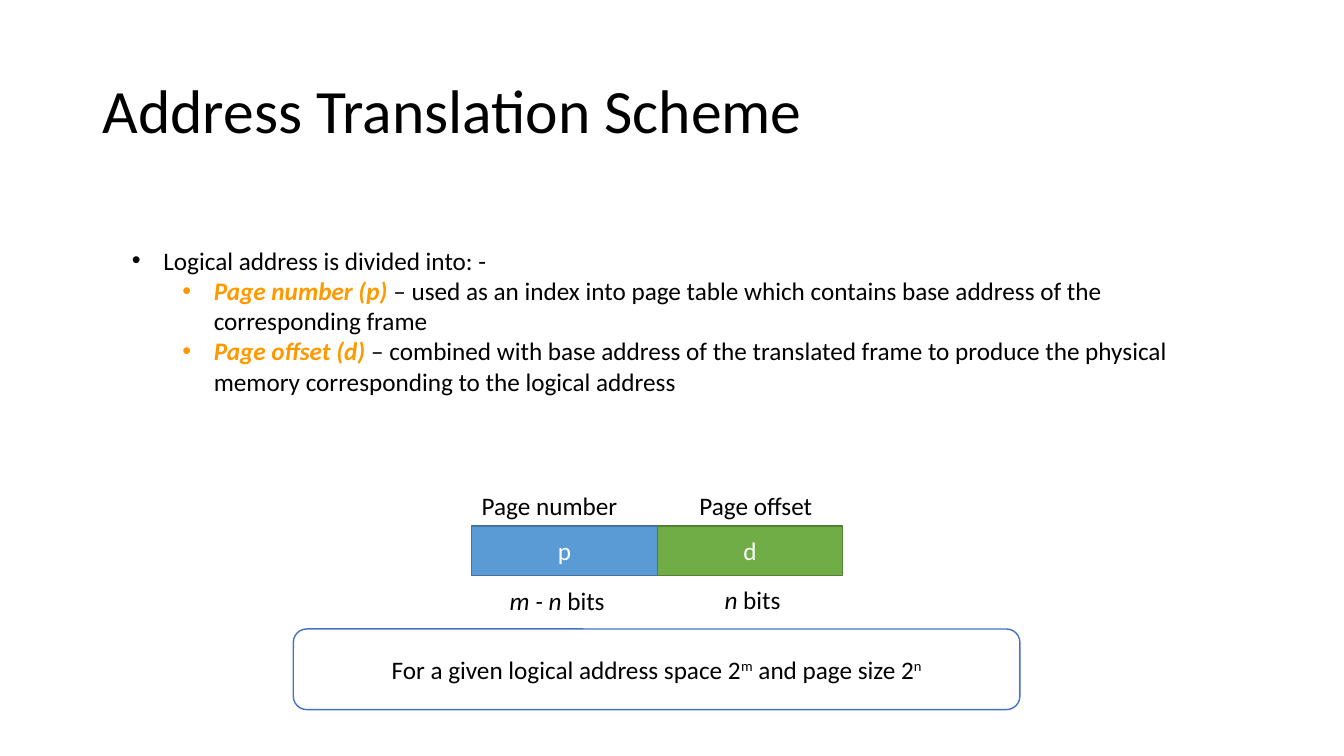
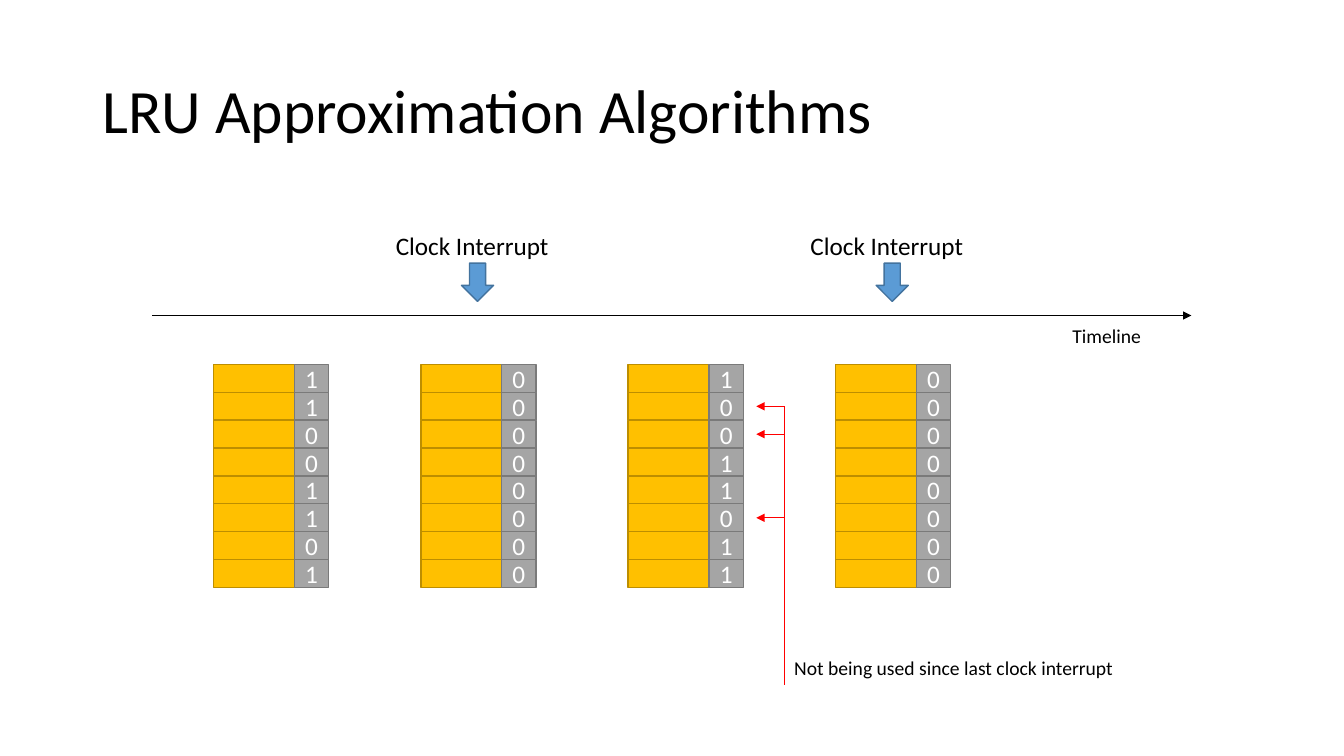
from dataclasses import dataclass

from lxml.etree import SubElement
from pptx import Presentation
from pptx.dml.color import RGBColor
from pptx.enum.shapes import MSO_CONNECTOR, MSO_SHAPE
from pptx.enum.text import MSO_ANCHOR, MSO_AUTO_SIZE, PP_ALIGN
from pptx.oxml.ns import qn
from pptx.util import Pt


@dataclass(frozen=True)
class Theme:
    """Colours as fill or (fill, line) pairs, and type sizes in points."""

    font: str = "Calibri"
    ink: str = "000000"
    paper: str = "FFFFFF"
    term: str = "FF9900"
    marker: str = "FF0000"
    blue: tuple = ("5B9BD5", "43739E")
    green: tuple = ("70AD47", "538035")
    amber: tuple = ("FFC000", "BD8E00")
    grey: tuple = ("A5A5A5", "7A7A7A")
    outline: tuple = ("FFFFFF", "4472C4")
    title_size: int = 44
    text_size: int = 18
    note_size: int = 14


THEME = Theme()


def rgb(code):
    """Turn a hex code into a colour."""
    return RGBColor.from_string(code)


def add_run(paragraph, words, size=THEME.text_size, color=THEME.ink,
            bold=False, italic=False, raised=False):
    """Add one formatted run to a paragraph."""
    run = paragraph.add_run()
    run.text = words
    run.font.name, run.font.size = THEME.font, Pt(size)
    run.font.color.rgb = rgb(color)
    run.font.bold, run.font.italic = bold, italic
    if raised:
        run.font._element.set("baseline", "30000")


def place(part, left, top, width, height):
    """Move a placeholder to a box given in points."""
    part.left, part.top = Pt(left), Pt(top)
    part.width, part.height = Pt(width), Pt(height)


def add_titled_slide(deck, layout_name, heading):
    """Add a slide with the shared title style."""
    slide = deck.slides.add_slide(deck.slide_layouts.get_by_name(layout_name))
    title = slide.shapes.title
    place(title, 66, 29, 828, 104)
    title.text_frame.auto_size = MSO_AUTO_SIZE.NONE
    title.text_frame.vertical_anchor = MSO_ANCHOR.MIDDLE
    paragraph = title.text_frame.paragraphs[0]
    paragraph.alignment = PP_ALIGN.LEFT
    paragraph.line_spacing = 0.9
    add_run(paragraph, heading, THEME.title_size)
    return slide


def add_label(slide, left, top, width, words, size=THEME.text_size, variable=""):
    """Add an unwrapped label, led by an italic variable if given."""
    label = slide.shapes.add_textbox(Pt(left), Pt(top), Pt(width), Pt(size * 1.6))
    label.text_frame.word_wrap = False
    label.text_frame.auto_size = MSO_AUTO_SIZE.SHAPE_TO_FIT_TEXT
    paragraph = label.text_frame.paragraphs[0]
    if variable:
        add_run(paragraph, variable, size, italic=True)
    add_run(paragraph, words, size)


def add_block(slide, preset, left, top, width, height, colors):
    """Add a flat outlined shape and return its centred paragraph."""
    block = slide.shapes.add_shape(preset, Pt(left), Pt(top), Pt(width), Pt(height))
    block.shadow.inherit = False
    block.fill.solid()
    block.fill.fore_color.rgb = rgb(colors[0])
    block.line.color.rgb = rgb(colors[1])
    block.line.width = Pt(1)
    frame = block.text_frame
    frame.margin_left = frame.margin_right = frame.margin_top = frame.margin_bottom = 0
    frame.vertical_anchor = MSO_ANCHOR.MIDDLE
    frame.paragraphs[0].alignment = PP_ALIGN.CENTER
    return frame.paragraphs[0]


def add_line(slide, start, end, color, weight, arrow=True):
    """Add a straight line, with an arrowhead at its end by default."""
    line = slide.shapes.add_connector(
        MSO_CONNECTOR.STRAIGHT, Pt(start[0]), Pt(start[1]), Pt(end[0]), Pt(end[1]))
    line.line.color.rgb = rgb(color)
    line.line.width = Pt(weight)
    properties = line._element.spPr
    if arrow:
        SubElement(properties.find(qn("a:ln")), qn("a:tailEnd"), type="triangle")
    SubElement(properties, qn("a:effectLst"))


def add_definitions(slide, left, top, width, height):
    """Fill the body with the parts of a logical address."""
    definitions = [
        ("", "Logical address is divided into: -"),
        ("Page number (p) ", "– used as an index into page table which contains "
                             "base address of the corresponding frame"),
        ("Page offset (d) ", "– combined with base address of the translated frame "
                             "to produce the physical memory corresponding to the "
                             "logical address"),
    ]
    body = slide.placeholders[1]
    place(body, left, top, width, height)
    frame = body.text_frame
    frame.auto_size = MSO_AUTO_SIZE.NONE
    for index, (term, meaning) in enumerate(definitions):
        paragraph = frame.add_paragraph() if index else frame.paragraphs[0]
        paragraph.level = 1 if term else 0
        paragraph.space_before = Pt(0)
        indents = paragraph._p.get_or_add_pPr()
        indents.set("marL", str(Pt(22.5 + 36 * paragraph.level)))
        indents.set("indent", str(Pt(-22.5)))
        SubElement(indents, qn("a:buFont"), typeface="Arial")
        SubElement(indents, qn("a:buChar"), char="•")
        if term:
            add_run(paragraph, term, color=THEME.term, bold=True, italic=True)
        add_run(paragraph, meaning)


def add_address_format(slide, left, top, width):
    """Draw the two address fields with names above and bit counts below."""
    field_width, field_height = width / 2, 35.3
    add_label(slide, left, top, 119.5, "Page number")
    add_label(slide, left + 155.5, top, 102.2, "Page offset")
    fields = [("p", THEME.blue), ("d", THEME.green)]
    for index, (symbol, colors) in enumerate(fields):
        paragraph = add_block(slide, MSO_SHAPE.RECTANGLE, left + index * field_width,
                              top + 28.8, field_width, field_height, colors)
        add_run(paragraph, symbol, color=THEME.paper)
    add_label(slide, left + 20, top + 67.5, 91.4, " bits", variable="m - n")
    add_label(slide, left + 173.5, top + 67, 57, " bits", variable="n")


def add_size_rule(slide, left, top, width, height):
    """State the address space and page size in a rounded box."""
    paragraph = add_block(slide, MSO_SHAPE.ROUNDED_RECTANGLE,
                          left, top, width, height, THEME.outline)
    for words, exponent in [("For a given logical address space 2", "m"),
                            (" and page size 2", "n")]:
        add_run(paragraph, words)
        add_run(paragraph, exponent, raised=True)


def add_page_bits(slide, left, top, row_height, bits):
    """Stack pages, each with its reference bit."""
    page_width, bit_width = 57.7, 24.6
    for row, bit in enumerate(bits):
        row_top = top + row * row_height
        add_block(slide, MSO_SHAPE.RECTANGLE, left, row_top,
                  page_width, row_height, THEME.amber)
        paragraph = add_block(slide, MSO_SHAPE.RECTANGLE, left + page_width, row_top,
                              bit_width, row_height, THEME.grey)
        add_run(paragraph, bit, color=THEME.paper)


def add_interrupt(slide, left, top):
    """Mark a clock interrupt with a label over a down arrow."""
    add_block(slide, MSO_SHAPE.DOWN_ARROW, left + 54, top + 26.6, 23, 27.4, THEME.blue)
    add_label(slide, left, top, 130.3, "Clock Interrupt")


def add_timeline(slide, left, top, width):
    """Draw the time axis and its name."""
    add_line(slide, (left, top), (left + width, top), THEME.ink, 0.5)
    add_label(slide, left + 650.2, top + 2.1, 65.5, "Timeline", THEME.note_size)


def add_unused_marker(slide, right, top, row_height, bits):
    """Point from a shared stem at each page whose bit is zero."""
    targets = [top + (row + 0.5) * row_height
               for row, bit in enumerate(bits) if bit == "0"]
    for target in targets:
        add_line(slide, (right, target), (right - 20, target), THEME.marker, 1)
    add_line(slide, (right, targets[0]), (right, 489.6), THEME.marker, 0.5, arrow=False)
    add_label(slide, right, 465.1, 259.2,
              "Not being used since last clock interrupt", THEME.note_size)


def build_address_slide(deck):
    """Build the address translation slide."""
    slide = add_titled_slide(deck, "Title and Content", "Address Translation Scheme")
    add_definitions(slide, 87, 171.4, 797, 116.6)
    add_address_format(slide, 337, 347, 265)
    add_size_rule(slide, 209.5, 449.3, 519, 57.6)


def build_lru_slide(deck):
    """Build the reference bit slide."""
    slide = add_titled_slide(deck, "Title Only", "LRU Approximation Algorithms")
    snapshots = ["11001101", "00000000", "10011011", "00000000"]
    left, top, pitch, row_height = 152.5, 260.4, 148.1, 19.9
    for index, bits in enumerate(snapshots):
        snapshot_left = left + index * pitch
        if index % 2:
            add_interrupt(slide, snapshot_left - 25, 161.3)
        add_page_bits(slide, snapshot_left, top, row_height, bits)
    add_timeline(slide, 108.7, 225.4, 742.3)
    add_unused_marker(slide, 560.2, top, row_height, snapshots[2])


def main():
    """Build and save the deck."""
    deck = Presentation()
    deck.slide_width, deck.slide_height = Pt(960), Pt(540)
    build_address_slide(deck)
    build_lru_slide(deck)
    deck.save("out.pptx")


if __name__ == "__main__":
    main()
